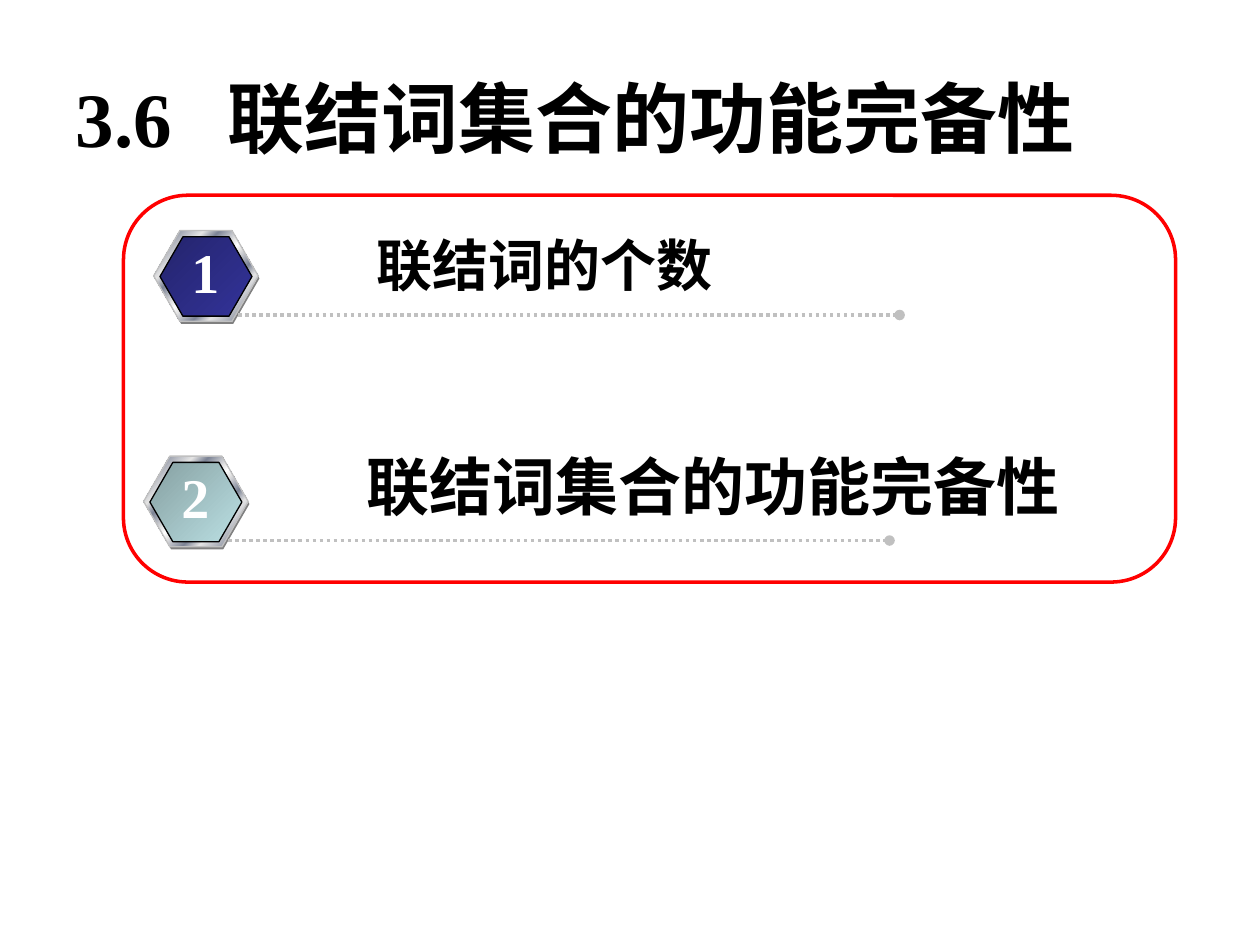
from dataclasses import dataclass

from lxml.etree import SubElement
from pptx import Presentation
from pptx.dml.color import RGBColor
from pptx.enum.dml import MSO_LINE
from pptx.enum.shapes import MSO_CONNECTOR, MSO_SHAPE
from pptx.enum.text import MSO_ANCHOR, MSO_AUTO_SIZE as AutoSize, PP_ALIGN
from pptx.oxml.ns import qn
from pptx.util import Pt


@dataclass(frozen=True)
class Theme:
    ink: str = "000000"
    light: str = "FFFFFF"
    frame: str = "FF0000"
    rule: str = "C0C0C0"
    shade: str = "808080"
    navy: tuple = ((0, "24246D"), (100, "333399"))
    teal: tuple = ((0, "86A0A2"), (100, "BBE0E3"))
    metal: tuple = (
        (0, "E6E6E6"), (8, "7D8496"), (26, "E6E6E6"), (34, "7D8496"),
        (46, "E6E6E6"), (50, "FFFFFF"), (54, "E6E6E6"), (66, "7D8496"),
        (74, "E6E6E6"), (92, "7D8496"), (100, "E6E6E6"),
    )
    serif: str = "Times New Roman"
    sans: str = "Arial"
    title_size: int = 44
    number_size: int = 32
    thin: float = 0.75
    thick: float = 2


THEME = Theme()
INSET_X, INSET_Y = 7.2, 3.6


def points(*lengths):
    return [Pt(length) for length in lengths]


def rgb(color):
    return RGBColor.from_string(color)


def add_run(paragraph, text, size, font, color):
    run = paragraph.add_run()
    run.text = text
    run.font.size = Pt(size)
    run.font.name = font
    run.font.bold = True
    run.font.color.rgb = rgb(color)


def set_line(line, color, width):
    line.color.rgb = rgb(color)
    line.width = Pt(width)


def set_gradient(shape, stops):
    shape.fill.gradient()
    gradient = shape._element.spPr.find(qn("a:gradFill"))
    for child in list(gradient):
        gradient.remove(child)
    stop_list = SubElement(gradient, qn("a:gsLst"))
    for percent, color in stops:
        stop = SubElement(stop_list, qn("a:gs"), pos=str(percent * 1000))
        SubElement(stop, qn("a:srgbClr"), val=color)
    SubElement(gradient, qn("a:lin"), ang=str(45 * 60000), scaled="1")


def add_hexagon(group, left, top, width, height):
    hexagon = group.shapes.add_shape(
        MSO_SHAPE.HEXAGON, *points(left, top, width, height))
    hexagon.adjustments[0] = 0.289
    hexagon.shadow.inherit = False
    return hexagon


def add_badge(group, left, top, stops):
    shade = add_hexagon(group, left + 0.72, top + 1.44, 59.76, 51.84)
    shade.fill.solid()
    shade.fill.fore_color.rgb = rgb(THEME.shade)
    shade.line.fill.background()

    rim = add_hexagon(group, left, top, 59.76, 51.84)
    set_gradient(rim, THEME.metal)
    set_line(rim.line, THEME.rule, THEME.thin)

    face = add_hexagon(group, left + 3.6, top + 3.6, 52.56, 45.36)
    set_gradient(face, stops)
    set_line(face.line, THEME.ink, THEME.thin)


def add_dotted_rule(group, left, top, length):
    rule = group.shapes.add_connector(
        MSO_CONNECTOR.STRAIGHT, *points(left, top, left + length, top))
    set_line(rule.line, THEME.rule, THEME.thick)
    rule.line.dash_style = MSO_LINE.ROUND_DOT
    SubElement(rule.line._get_or_add_ln(), qn("a:tailEnd"), type="oval")
    SubElement(rule._element.spPr, qn("a:effectLst"))


def add_caption(group, box, text, size, font, color, align):
    caption = group.shapes.add_textbox(*points(*box)).text_frame
    caption.word_wrap = False
    caption.auto_size = AutoSize.SHAPE_TO_FIT_TEXT
    paragraph = caption.paragraphs[0]
    paragraph.alignment = align
    add_run(paragraph, text, size, font, color)


def add_topic(slide, left, top, number, label, label_size, stops):
    group = slide.shapes.add_group_shape()
    add_badge(group, left, top, stops)
    add_dotted_rule(group, left + 48.24, top + 48.24, 378)

    width = len(label) * label_size + 2 * INSET_X
    height = label_size * 1.2 + 2 * INSET_Y
    add_caption(group, (left + 120.24, top + 42 - height, width, height),
                label, label_size, THEME.sans, THEME.ink, PP_ALIGN.LEFT)
    add_caption(group, (left + 14.4, top + 0.36, 30.24, 45.36),
                number, THEME.number_size, THEME.serif, THEME.light,
                PP_ALIGN.CENTER)


def add_title(slide, left, top, width, height):
    title = slide.shapes.title
    title.left, title.top, title.width, title.height = points(
        left, top, width, height)
    frame = title.text_frame
    frame.auto_size = AutoSize.NONE
    frame.vertical_anchor = MSO_ANCHOR.MIDDLE
    paragraph = frame.paragraphs[0]
    paragraph.alignment = PP_ALIGN.LEFT
    tabs = SubElement(paragraph._p.get_or_add_pPr(), qn("a:tabLst"))
    SubElement(tabs, qn("a:tab"), pos=str(Pt(87)), algn="l")
    for text in ("3.6\t", "联结词集合的功能完备性"):
        add_run(paragraph, text, THEME.title_size, THEME.serif, THEME.ink)


def add_frame(slide, left, top, width, height):
    frame = slide.shapes.add_shape(
        MSO_SHAPE.ROUNDED_RECTANGLE, *points(left, top, width, height))
    frame.shadow.inherit = False
    frame.fill.background()
    set_line(frame.line, THEME.frame, THEME.thick)


def main():
    deck = Presentation()
    deck.slide_width, deck.slide_height = points(720, 540)
    slide = deck.slides.add_slide(deck.slide_layouts[5])
    add_title(slide, 36, 21.6, 648, 90)
    add_topic(slide, 87.84, 131.76, "1", "联结词的个数", 32, THEME.navy)
    add_topic(slide, 82.08, 260.64, "2", "联结词集合的功能完备性", 36, THEME.teal)
    add_frame(slide, 70.56, 111.6, 601.2, 221.04)
    deck.save("out.pptx")


if __name__ == "__main__":
    main()
